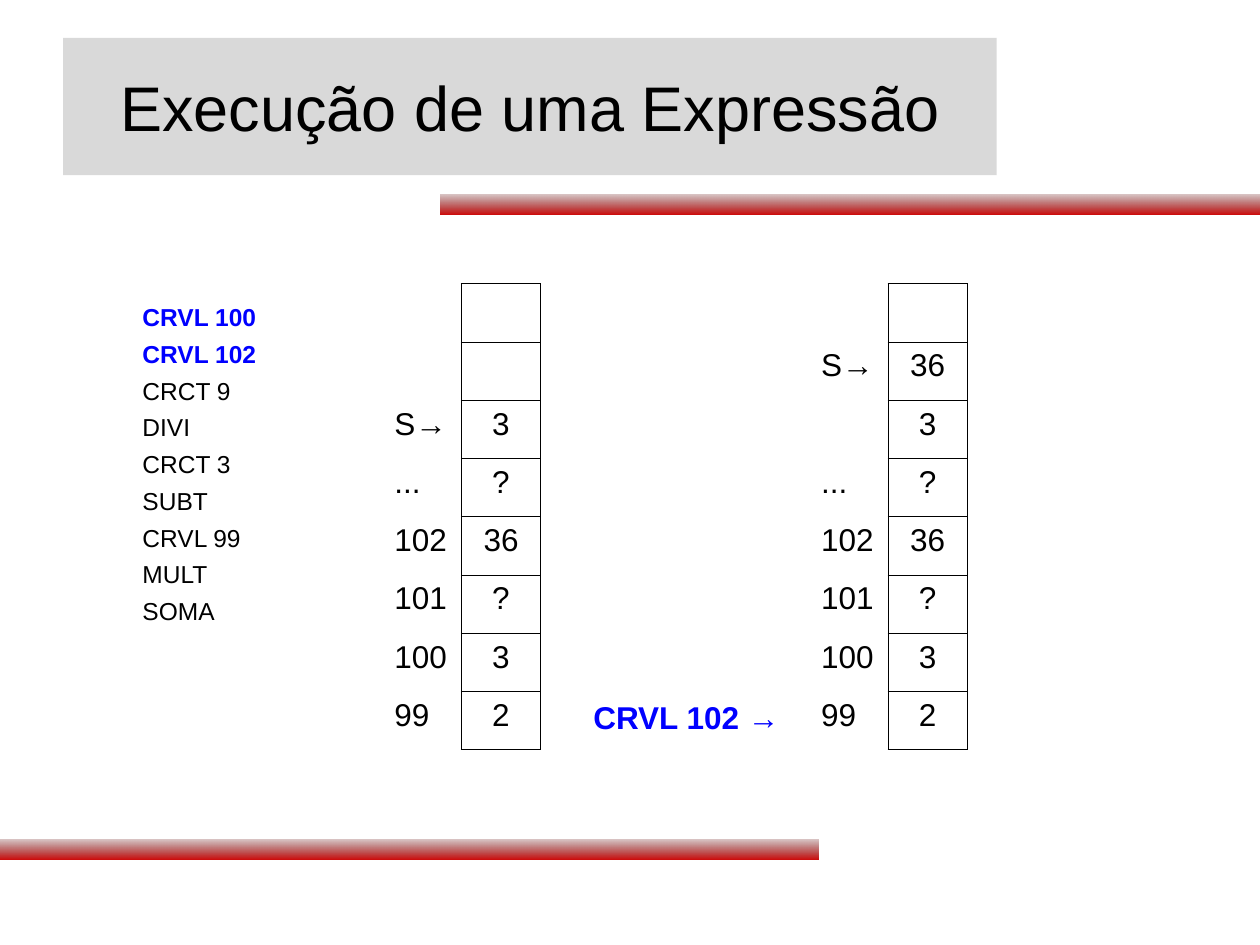
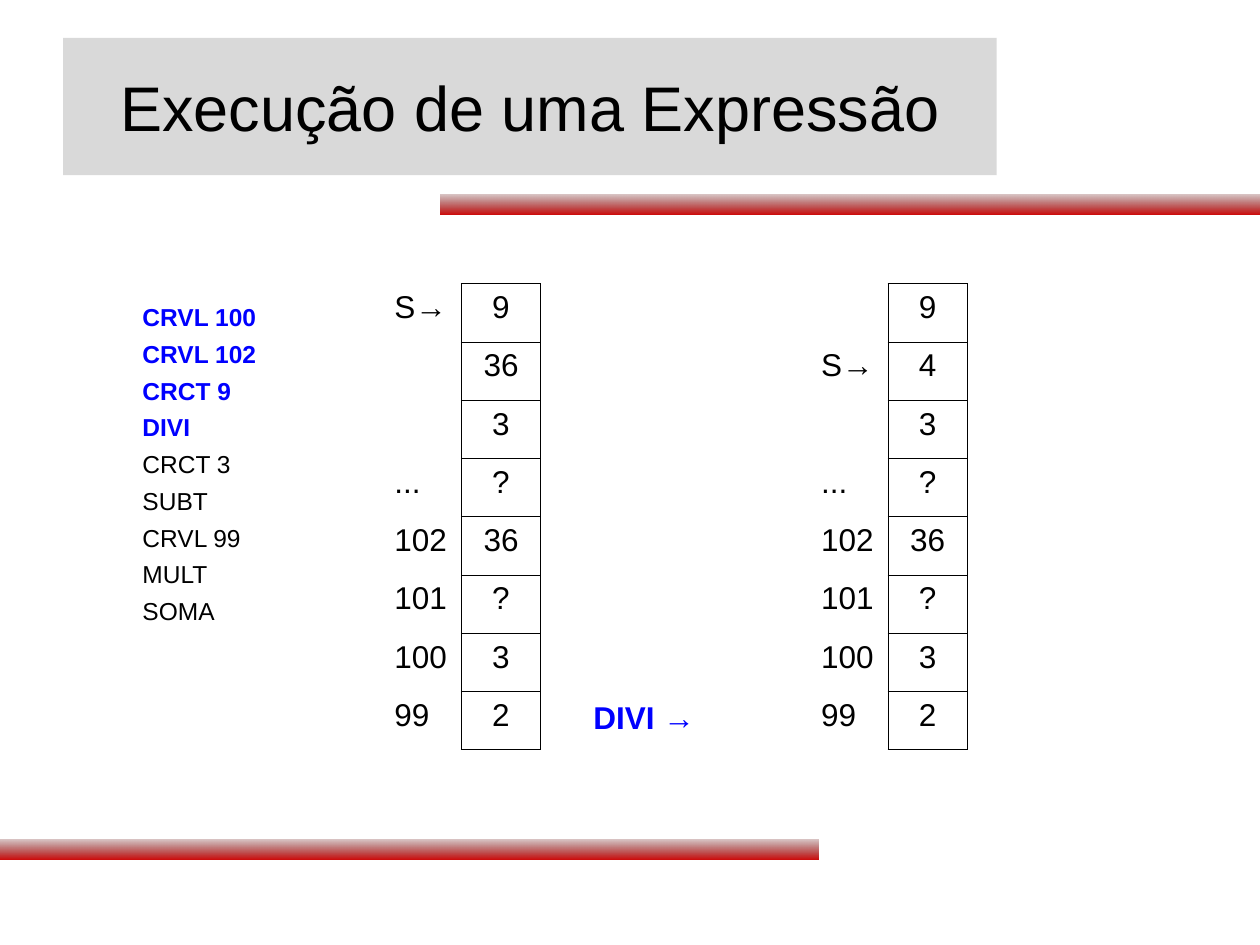
from collections import namedtuple
from dataclasses import dataclass

from lxml import etree
from pptx import Presentation
from pptx.dml.color import RGBColor
from pptx.enum import shapes, text
from pptx.oxml.ns import qn
from pptx.util import Pt

Box = namedtuple("Box", "left top width height")


@dataclass(frozen=True)
class Theme:
    font: str = "Arial"
    ink: str = "000000"
    executed: str = "0000FF"
    title_band: str = "D9D9D9"
    bar_start: str = "5E0000"
    bar_end: str = "CC0000"
    bar_start_alpha: int = 21
    title_size: float = 36
    memory_size: float = 18
    program_size: float = 14
    border: float = 0.45


THEME = Theme()
NO_TABLE_STYLE = "{2D5ABB26-0587-4C30-8999-92F81FD0307C}"

TITLE_BOX = Box(36, 21.6, 533.5, 78.5)
BAR_BOXES = (Box(0, 479.5, 468, 11.7), Box(252, 111, 468, 11.7))
PROGRAM_BOX = Box(42.5, 169, 124.5, 193)
BEFORE_BOX = Box(218.2, 162.2, 90.8, 266.4)
AFTER_BOX = Box(462, 162.2, 90.8, 266.4)
STEP_BOX = Box(332, 395.5, 124.5, 34)

TITLE = "Execução de uma Expressão"
PROGRAM = ("CRVL 100", "CRVL 102", "CRCT 9", "DIVI", "CRCT 3",
           "SUBT", "CRVL 99", "MULT", "SOMA")
STACK_ROWS = 3
VARIABLES = (("...", "?"), ("102", "36"), ("101", "?"), ("100", "3"), ("99", "2"))

# Each state: stack cells from the top down, and the row S points to.
STEPS = (
    dict(executed=2, before=(("", "", "3"), 2), after=(("", "36", "3"), 1)),
    dict(executed=4, before=(("9", "36", "3"), 0), after=(("9", "4", "3"), 1)),
)


def points(box):
    return [Pt(length) for length in box]


def place(shape, box):
    shape.left, shape.top, shape.width, shape.height = points(box)


def style(paragraph, size, color=THEME.ink, bold=False):
    for run in paragraph.runs:
        run.font.name = THEME.font
        run.font.size = Pt(size)
        run.font.bold = bold
        run.font.color.rgb = RGBColor.from_string(color)


def add_bars(layout, slide):
    """Draw the gradient bars and hand them to the layout all slides use."""
    for box in BAR_BOXES:
        bar = slide.shapes.add_shape(shapes.MSO_SHAPE.RECTANGLE, *points(box))
        bar.shadow.inherit = False
        bar.line.fill.background()
        bar.fill.gradient()
        bar.fill.gradient_angle = 270
        for stop, color in zip(bar.fill.gradient_stops,
                               (THEME.bar_start, THEME.bar_end)):
            stop.color.rgb = RGBColor.from_string(color)
        start = next(bar.element.iter(qn("a:srgbClr")))
        etree.SubElement(start, qn("a:alpha"), val=str(THEME.bar_start_alpha * 1000))
        layout.shapes.element.append(bar.element)


def add_title(slide, box):
    title = slide.shapes.title
    place(title, box)
    title.fill.solid()
    title.fill.fore_color.rgb = RGBColor.from_string(THEME.title_band)
    frame = title.text_frame
    frame.text = TITLE
    frame.auto_size = text.MSO_AUTO_SIZE.NONE
    frame.vertical_anchor = text.MSO_ANCHOR.MIDDLE
    frame.paragraphs[0].alignment = text.PP_ALIGN.CENTER
    style(frame.paragraphs[0], THEME.title_size)


def add_program(slide, box, executed):
    """List the program, with the instructions already run highlighted."""
    program = slide.placeholders[1]
    place(program, box)
    frame = program.text_frame
    frame.text = "\n".join(PROGRAM)
    frame.auto_size = text.MSO_AUTO_SIZE.NONE
    frame.vertical_anchor = text.MSO_ANCHOR.TOP
    for index, instruction in enumerate(frame.paragraphs):
        instruction.level = 1
        properties = instruction._p.get_or_add_pPr()
        properties.set("marL", str(Pt(31.7)))
        properties.set("indent", "0")
        etree.SubElement(properties, qn("a:buNone"))
        instruction.space_before = Pt(4.2 if index else 0)
        done = index < executed
        style(instruction, THEME.program_size,
              THEME.executed if done else THEME.ink, done)


def add_border(cell, sides):
    properties = cell._tc.get_or_add_tcPr()
    for side in sides:
        line = etree.SubElement(properties, qn("a:ln" + side),
                                w=str(Pt(THEME.border)))
        fill = etree.SubElement(line, qn("a:solidFill"))
        etree.SubElement(fill, qn("a:srgbClr"), val=THEME.ink)


def add_memory(slide, box, stack, top_row):
    """Draw the memory: stack cells above, variables below, addresses at left."""
    labels = ["S→" if row == top_row else "" for row in range(STACK_ROWS)]
    rows = list(zip(labels, stack)) + list(VARIABLES)
    frame = slide.shapes.add_table(len(rows), 2, *points(box))
    next(frame.element.iter(qn("a:tableStyleId"))).text = NO_TABLE_STYLE
    memory = frame.table
    memory.first_row = memory.horz_banding = False
    for column in memory.columns:
        column.width = Pt(box.width / 2)
    for row, contents in enumerate(rows):
        memory.rows[row].height = Pt(box.height / len(rows))
        for column, content in enumerate(contents):
            cell = memory.cell(row, column)
            add_border(cell, "LRTB" if column else "R")
            cell.fill.background()
            cell.text = content
            paragraph = cell.text_frame.paragraphs[0]
            if column:
                paragraph.alignment = text.PP_ALIGN.CENTER
            style(paragraph, THEME.memory_size)


def add_step(slide, box, instruction):
    frame = slide.shapes.add_textbox(*points(box)).text_frame
    frame.word_wrap = True
    frame.text = f"{instruction} →"
    style(frame.paragraphs[0], THEME.memory_size, THEME.executed, True)


def add_execution_slide(deck, layout, executed, before, after):
    slide = deck.slides.add_slide(layout)
    add_title(slide, TITLE_BOX)
    add_program(slide, PROGRAM_BOX, executed)
    add_memory(slide, BEFORE_BOX, *before)
    add_memory(slide, AFTER_BOX, *after)
    add_step(slide, STEP_BOX, PROGRAM[executed - 1])
    return slide


def main():
    deck = Presentation()
    deck.slide_width, deck.slide_height = Pt(720), Pt(540)
    layout = deck.slide_layouts[1]
    slides = [add_execution_slide(deck, layout, **step) for step in STEPS]
    add_bars(layout, slides[0])
    deck.save("out.pptx")


if __name__ == "__main__":
    main()
